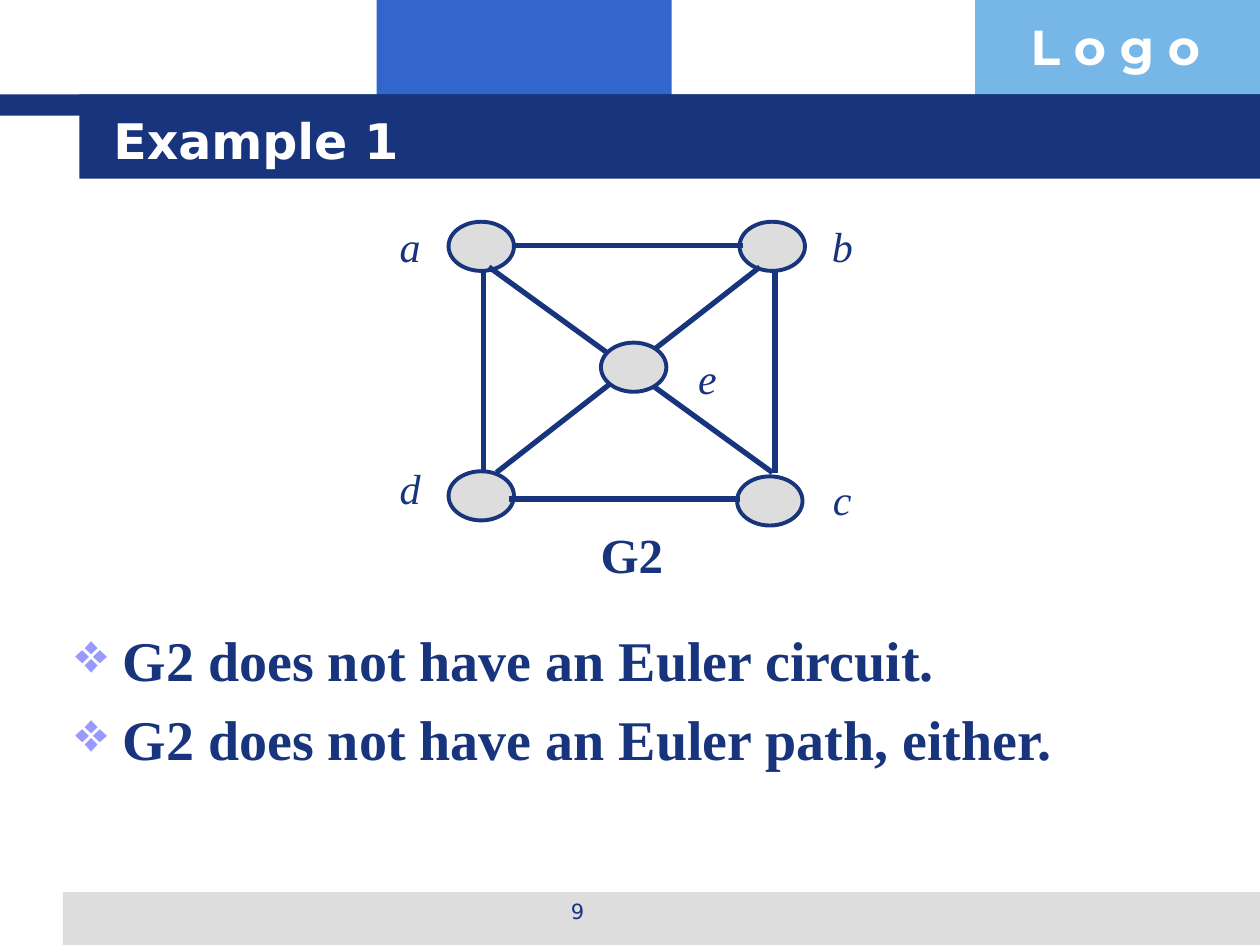
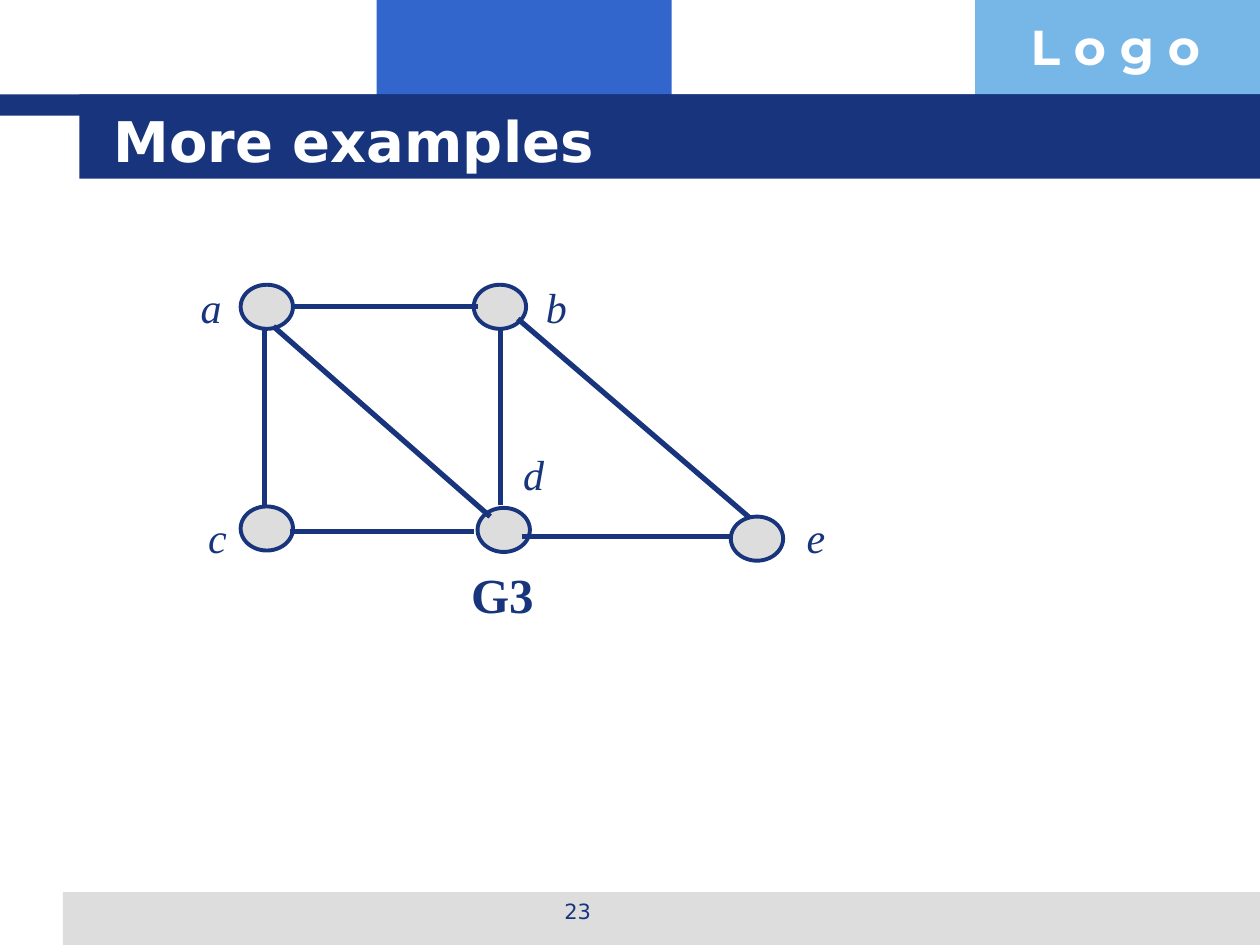
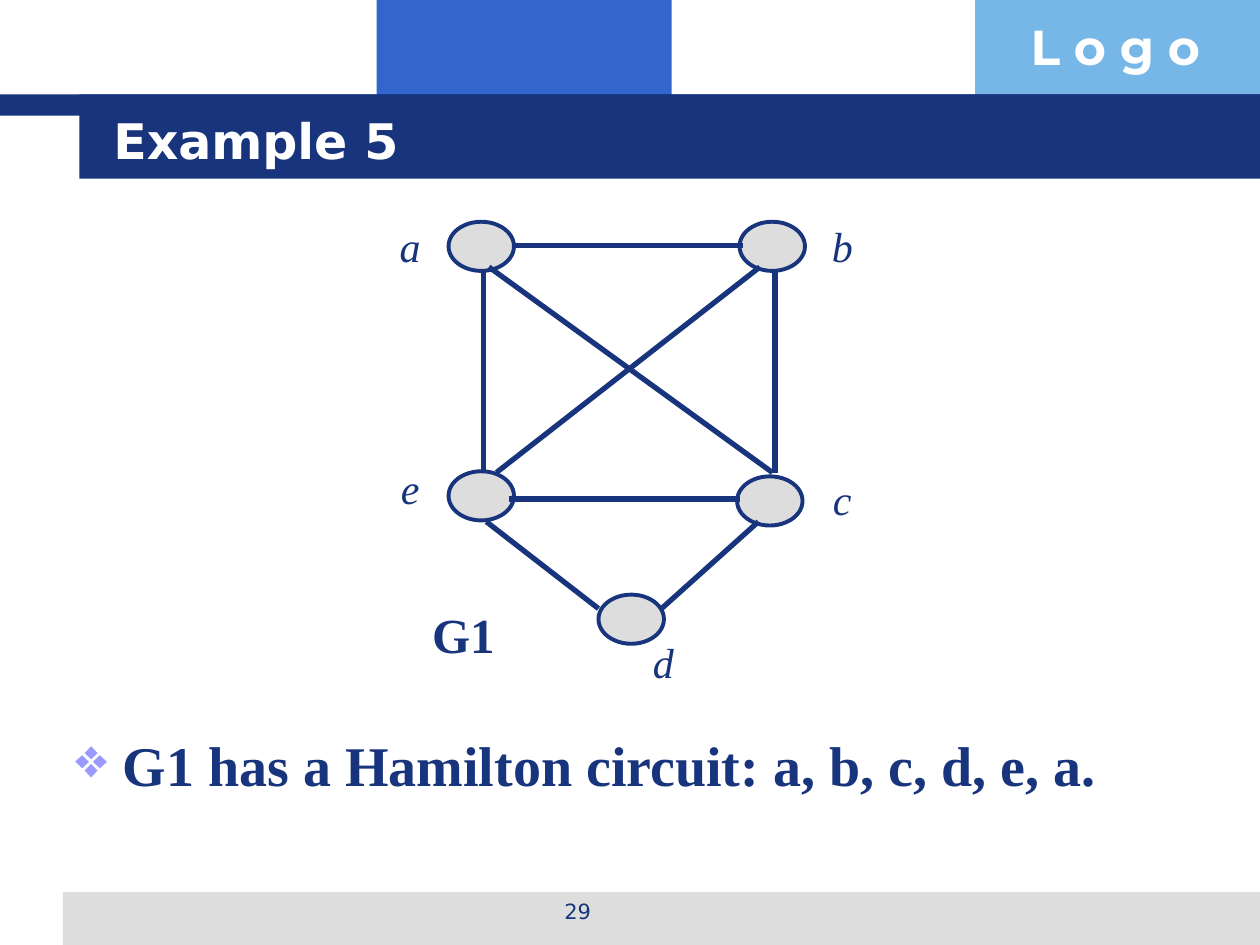
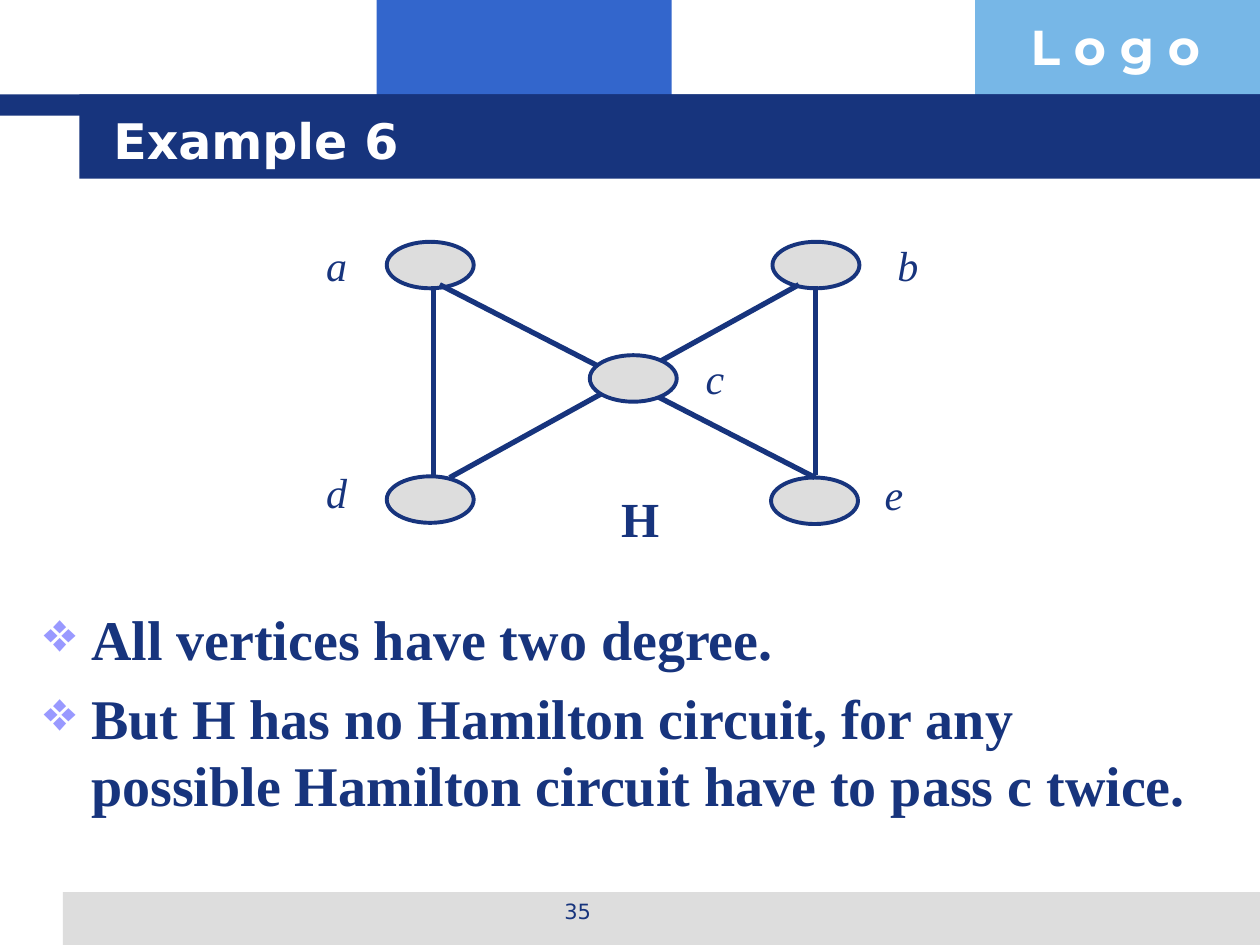
"""Build four slides of graph examples on Euler and Hamilton circuits."""
import dataclasses

import pptx
import pptx.dml.color
import pptx.enum.shapes
import pptx.enum.text
import pptx.oxml
import pptx.oxml.ns
import pptx.util

Pt = pptx.util.Pt
ALIGN = pptx.enum.text.PP_ALIGN
ANCHOR = pptx.enum.text.MSO_ANCHOR
AUTO = pptx.enum.text.MSO_AUTO_SIZE


@dataclasses.dataclass(frozen=True)
class Theme:
    """Colours, fonts and type sizes shared by all slides."""
    navy: str = "17347D"
    blue: str = "3366CC"
    sky: str = "77B7E7"
    grey: str = "DDDDDD"
    lilac: str = "9999FF"
    white: str = "FFFFFF"
    heading: str = "DejaVu Sans"
    logo: str = "Montserrat"
    body: str = "Times New Roman"
    page_size: float = 12
    vertex_size: float = 24
    caption_size: float = 28
    body_size: float = 32
    edge_width: float = 3
    outline_width: float = 2.25
    bullet_indent: float = 27


THEME = Theme()

BANDS = [
    (215.3, 0, 168.5, 66.2, THEME.blue),
    (557.3, 0, 162.7, 66.2, THEME.sky),
    (36, 509.8, 684, 30.2, THEME.grey),
    (0, 54, 720, 12.2, THEME.navy),
    (45.4, 54, 674.6, 48.2, THEME.navy),
]
LOGO = ("L o g o", (581.8, 5.8, 139, 41))
TITLE_BOX = (57.6, 57.6, 614.2, 44.6)
PAGE_BOX = (246.2, 509.8, 167.8, 25.2)
LABEL_WIDTH, LABEL_HEIGHT = 26.4, 36
CAPTION_HEIGHT = 41

SQUARE_CORNERS = {
    "top left": (256.3, 126.7, 234.4, 122.4),
    "bottom left": (256.3, 269.3, 234.4, 260.6),
    "bottom right": (421.2, 272.2, 481.3, 267.1),
    "top right": (422.6, 126.7, 481.3, 122.4),
}
SQUARE_EDGES = [
    (276.1, 154.1, 276.1, 268.6),
    (442.8, 154.8, 442.8, 270),
    (441.4, 270, 279.4, 152.6),
    (283.7, 270, 434.2, 152.6),
    (293, 140.4, 424.8, 140.4),
    (290.9, 285.1, 422.6, 285.1),
]


def square(names):
    """Name the square's corners, counter-clockwise from the top left."""
    return [(name, *corner) for name, corner in zip(names, SQUARE_CORNERS.values())]


# Each vertex is (name, oval left, oval top, label centre, label top); hubs lie over the edges.
SLIDES = [
    dict(title="Example 1", title_size=28, page="9", oval=(37.4, 28.1),
         vertices=square("adcb"), edges=SQUARE_EDGES,
         hubs=[("e", 343.4, 195.8, 404.3, 198)],
         caption=("G2", 336.2, 295.9, 50.4),
         points=["G2 does not have an Euler circuit.",
                 "G2 does not have an Euler path, either."],
         points_box=(36, 354.2, 648, 141.8)),
    dict(title="More examples", title_size=32, page="23", oval=(29.9, 25.2),
         vertices=[("a", 137.5, 162.7, 120.6, 157),
                   ("c", 137.5, 289.4, 124.2, 288.7),
                   ("d", 272.9, 290.2, 304.9, 252.7),
                   ("b", 270.7, 162.7, 317.9, 157)],
         edges=[(280.1, 295.2, 156.2, 186.5),
                (167, 175, 272.9, 175),
                (165.6, 303.8, 270.7, 303.8),
                (428.4, 295.9, 295.9, 182.2),
                (298.1, 306.7, 417.6, 306.7),
                (151.2, 187.2, 151.2, 288.7),
                (285.8, 187.2, 285.8, 288.7)],
         hubs=[("e", 417.6, 295.2, 466.2, 288.7)],
         caption=("G3", 262.1, 319, 50.4),
         points=[], points_box=None),
    dict(title="Example 5", title_size=28, page="29", oval=(37.4, 28.1),
         vertices=square("aecb"),
         edges=SQUARE_EDGES + [(342, 347.8, 277.9, 298.1), (378, 347.8, 433.4, 298.1)],
         hubs=[("d", 342, 339.8, 379.1, 360)],
         caption=("G1", 239.8, 342, 50.4),
         points=["G1 has a Hamilton circuit: a, b, c, d, e, a."],
         points_box=(36, 414, 648, 95.8)),
    dict(title="Example 6", title_size=28, page="35", oval=(49.7, 26.6),
         vertices=[("a", 221, 138.2, 192.4, 133.2),
                   ("d", 221, 272.2, 192.4, 262.8),
                   ("e", 440.6, 272.9, 510.8, 264.2),
                   ("b", 441.4, 138.2, 518.8, 133.2)],
         edges=[(465.8, 272.9, 251.3, 162.7),
                (257, 272.9, 456.5, 162.7),
                (247.7, 163.4, 247.7, 271.4),
                (465.8, 163.4, 465.8, 271.4)],
         hubs=[("c", 337, 203, 408.6, 198)],
         caption=("H", 347.8, 275.8, 36),
         points=["All vertices have two degree.",
                 "But H has no Hamilton circuit, for any possible Hamilton circuit "
                 "have to pass c twice."],
         points_box=(18, 342, 684, 162)),
]


def rgb(colour):
    """Turn a hex string into a colour."""
    return pptx.dml.color.RGBColor.from_string(colour)


def points(lengths):
    """Convert numbers to lengths in points."""
    return [Pt(length) for length in lengths]


def style(paragraph, font, size, colour=THEME.navy, bold=False, italic=False):
    """Format every run of a paragraph."""
    for run in paragraph.runs:
        run.font.name, run.font.size = font, Pt(size)
        run.font.bold, run.font.italic = bold, italic
        run.font.color.rgb = rgb(colour)


def add_text(slide, words, box, font, size, align=ALIGN.LEFT, anchor=ANCHOR.TOP,
             wrap=True, **look):
    """Add one line of text in a box."""
    frame = slide.shapes.add_textbox(*points(box)).text_frame
    frame.text = words
    frame.word_wrap = wrap
    frame.vertical_anchor = anchor
    frame.paragraphs[0].alignment = align
    style(frame.paragraphs[0], font, size, **look)
    return frame


def add_filled(slide, preset, box, colour):
    """Add a filled shape without a line or shadow."""
    shape = slide.shapes.add_shape(preset, *points(box))
    shape.shadow.inherit = False
    shape.fill.solid()
    shape.fill.fore_color.rgb = rgb(colour)
    shape.line.fill.background()
    return shape


def furnish_layout(layout, slide):
    """Draw the bands and logo text on a slide and move them to its layout."""
    for placeholder in list(layout.placeholders):
        if placeholder.placeholder_format.idx:
            layout.shapes.element.remove(placeholder.element)
    for *box, colour in BANDS:
        add_filled(slide, pptx.enum.shapes.MSO_SHAPE.RECTANGLE, box, colour)
    words, box = LOGO
    add_text(slide, words, box, THEME.logo, THEME.caption_size, colour=THEME.white, bold=True)
    for shape in list(slide.shapes):
        if not shape.is_placeholder:
            layout.shapes.element.append(shape.element)


def set_title(slide, words, size):
    """Place and format the title."""
    title = slide.shapes.title
    title.left, title.top, title.width, title.height = points(TITLE_BOX)
    frame = title.text_frame
    frame.text = words
    frame.auto_size = AUTO.NONE
    frame.vertical_anchor = ANCHOR.MIDDLE
    frame.paragraphs[0].alignment = ALIGN.LEFT
    style(frame.paragraphs[0], THEME.heading, size, THEME.white, bold=True)


def add_vertices(slide, vertices, oval):
    """Draw ovals and their labels."""
    for name, left, top, label_centre, label_top in vertices:
        vertex = add_filled(slide, pptx.enum.shapes.MSO_SHAPE.OVAL,
                            (left, top, *oval), THEME.grey)
        vertex.line.color.rgb = rgb(THEME.navy)
        vertex.line.width = Pt(THEME.outline_width)
        label_box = (label_centre - LABEL_WIDTH / 2, label_top, LABEL_WIDTH, LABEL_HEIGHT)
        label = add_text(slide, name, label_box, THEME.body, THEME.vertex_size,
                         ALIGN.CENTER, ANCHOR.MIDDLE, wrap=False, italic=True)
        label.auto_size = AUTO.SHAPE_TO_FIT_TEXT


def add_edge(slide, ends):
    """Draw one edge of the graph."""
    edge = slide.shapes.add_connector(pptx.enum.shapes.MSO_CONNECTOR.STRAIGHT, *points(ends))
    edge.line.color.rgb = rgb(THEME.navy)
    edge.line.width = Pt(THEME.edge_width)
    edge.element.spPr.append(pptx.oxml.parse_xml(
        f"<a:effectLst {pptx.oxml.ns.nsdecls('a')}/>"))


def add_points(slide, lines, box):
    """Write the bulleted conclusions."""
    frame = slide.shapes.add_textbox(*points(box)).text_frame
    frame.word_wrap = True
    frame.text = "\n".join(lines)
    for number, paragraph in enumerate(frame.paragraphs):
        properties = paragraph._p.get_or_add_pPr()
        properties.set("marL", str(Pt(THEME.bullet_indent)))
        properties.set("indent", str(-Pt(THEME.bullet_indent)))
        namespace = pptx.oxml.ns.nsdecls("a")
        properties.append(pptx.oxml.parse_xml(
            f'<a:buClr {namespace}><a:srgbClr val="{THEME.lilac}"/></a:buClr>'))
        properties.append(pptx.oxml.parse_xml(f'<a:buChar {namespace} char="❖"/>'))
        if number:
            paragraph.space_before = Pt(0.2 * THEME.body_size)
        style(paragraph, THEME.body, THEME.body_size, bold=True)


def add_slide(slide, content):
    """Fill one slide with its title, graph and conclusions."""
    set_title(slide, content["title"], content["title_size"])
    add_text(slide, content["page"], PAGE_BOX, THEME.heading, THEME.page_size, ALIGN.CENTER)
    add_vertices(slide, content["vertices"], content["oval"])
    for ends in content["edges"]:
        add_edge(slide, ends)
    add_vertices(slide, content["hubs"], content["oval"])
    name, left, top, width = content["caption"]
    add_text(slide, name, (left, top, width, CAPTION_HEIGHT), THEME.body,
             THEME.caption_size, wrap=False, bold=True)
    if content["points"]:
        add_points(slide, content["points"], content["points_box"])


def main():
    """Build and save the presentation."""
    deck = pptx.Presentation()
    deck.slide_width, deck.slide_height = Pt(720), Pt(540)
    layout = deck.slide_layouts[5]
    for number, content in enumerate(SLIDES):
        slide = deck.slides.add_slide(layout)
        if number == 0:
            furnish_layout(layout, slide)
        add_slide(slide, content)
    deck.save("out.pptx")


if __name__ == "__main__":
    main()
